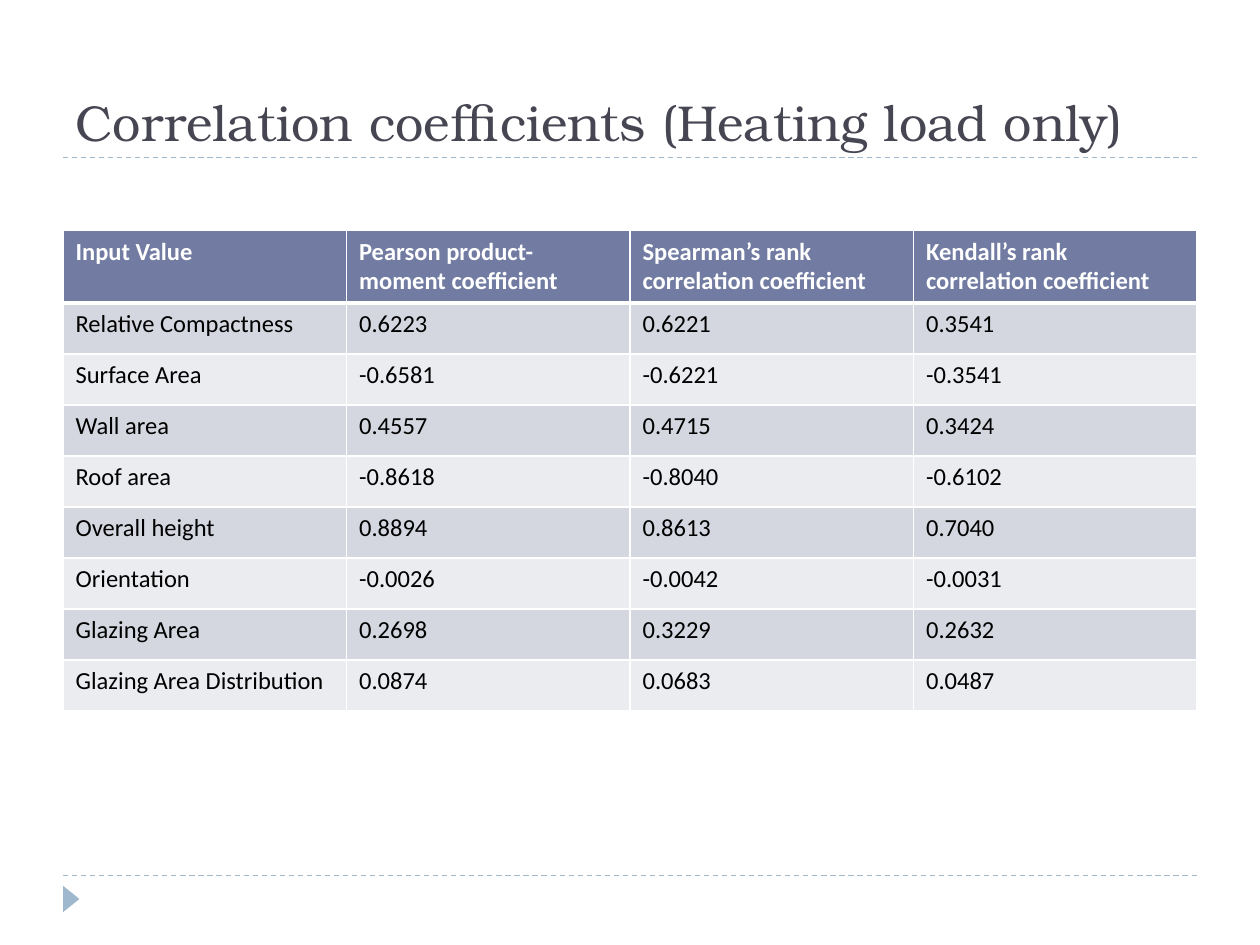
from lxml import etree
from pptx import Presentation
from pptx import util as u
from pptx.dml.color import RGBColor
from pptx.enum import dml, shapes, text
from pptx.oxml import ns

W, H = 10, 7.5
MARGIN = 0.05 * W
ACCENT, HEADER, BANDS = "9FB8CD", "727CA3", ("D5D7E0", "EBECF0")
ROWS = [
    ("Input Value", "Pearson product-moment coefficient",
     "Spearman’s rank correlation coefficient", "Kendall’s rank correlation coefficient"),
    ("Relative Compactness", "0.6223", "0.6221", "0.3541"),
    ("Surface Area", "-0.6581", "-0.6221", "-0.3541"),
    ("Wall area", "0.4557", "0.4715", "0.3424"),
    ("Roof area", "-0.8618", "-0.8040", "-0.6102"),
    ("Overall height", "0.8894", "0.8613", "0.7040"),
    ("Orientation", "-0.0026", "-0.0042", "-0.0031"),
    ("Glazing Area", "0.2698", "0.3229", "0.2632"),
    ("Glazing Area Distribution", "0.0874", "0.0683", "0.0487"),
]


def paint(color_format, value):
    """Set a fill, line or font colour from a hex string."""
    color_format.rgb = RGBColor.from_string(value)


def fill(obj, value):
    """Give a shape or cell a solid fill."""
    obj.fill.solid()
    paint(obj.fill.fore_color, value)


def style(p, font, size, color, bold=False):
    """Format every run of a paragraph."""
    for r in p.runs:
        r.font.name, r.font.size, r.font.bold = font, u.Pt(size), bold
        paint(r.font.color, color)


def add_rule(s, x, y, w):
    """Draw a dashed horizontal rule."""
    sp = s.shapes.add_connector(shapes.MSO_CONNECTOR.STRAIGHT,
                                *map(u.Inches, (x, y, x + w, y)))
    sp.line.width = u.Pt(0.75)
    sp.line.dash_style = dml.MSO_LINE.DASH
    paint(sp.line.color, ACCENT)
    etree.SubElement(sp._element.spPr, ns.qn("a:effectLst"))


def add_title(s, x, y, w, h):
    """Place the title with a rule along its lower edge."""
    add_rule(s, x, y + h, w)
    sp = s.shapes.title
    sp.left, sp.top, sp.width, sp.height = map(u.Inches, (x, y, w, h))
    tf = sp.text_frame
    tf.text = "Correlation coefficients (Heating load only)"
    tf.word_wrap = True
    tf.auto_size = text.MSO_AUTO_SIZE.NONE
    tf.vertical_anchor = text.MSO_ANCHOR.BOTTOM
    p = tf.paragraphs[0]
    p.alignment = text.PP_ALIGN.LEFT
    style(p, "TeX Gyre Bonum", 28.8, "464653")


def add_footer(s, x, y, w):
    """Place the footer rule with its pointer below."""
    add_rule(s, x, y, w)
    sp = s.shapes.add_shape(shapes.MSO_SHAPE.ISOSCELES_TRIANGLE,
                            *map(u.Inches, (x - 0.04, y + 0.12, 0.21, 0.13)))
    sp.rotation = 90
    sp.shadow.inherit = False
    fill(sp, ACCENT)
    sp.line.fill.background()


def add_borders(cell, top, bottom):
    """Add white cell borders, with top and bottom widths in points."""
    tcPr = cell._tc.get_or_add_tcPr()
    for side, width in (("L", 1), ("R", 1), ("T", top), ("B", bottom)):
        ln = etree.SubElement(tcPr, ns.qn("a:ln" + side), w=str(u.Pt(width)))
        solid = etree.SubElement(ln, ns.qn("a:solidFill"))
        etree.SubElement(solid, ns.qn("a:srgbClr"), val="FFFFFF")


def add_coefficients(s, x, y, w, h):
    """Place the table with a taller header and equal banded rows."""
    n_rows, n_cols = len(ROWS), len(ROWS[0])
    table = s.shapes.add_table(n_rows, n_cols, *map(u.Inches, (x, y, w, h))).table
    head = 0.15 * h
    for col in table.columns:
        col.width = u.Inches(w / n_cols)
    for i, values in enumerate(ROWS):
        table.rows[i].height = u.Inches((h - head) / (n_rows - 1) if i else head)
        for j, value in enumerate(values):
            cell = table.cell(i, j)
            cell.text = value
            add_borders(cell, 3 if i == 1 else 1, 1 if i else 3)
            fill(cell, BANDS[(i - 1) % 2] if i else HEADER)
            style(cell.text_frame.paragraphs[0], "Calibri", 14,
                  "000000" if i else "FFFFFF", i == 0)


def main():
    """Build the slide and save it."""
    prs = Presentation()
    prs.slide_width, prs.slide_height = u.Inches(W), u.Inches(H)
    s = prs.slides.add_slide(prs.slide_layouts[5])
    inner = W - 2 * MARGIN
    add_footer(s, MARGIN, 6.95, inner)
    add_title(s, MARGIN, 0.25, inner, 1)
    add_coefficients(s, MARGIN, 1.83, inner, 3.81)
    prs.save("out.pptx")


if __name__ == "__main__":
    main()
